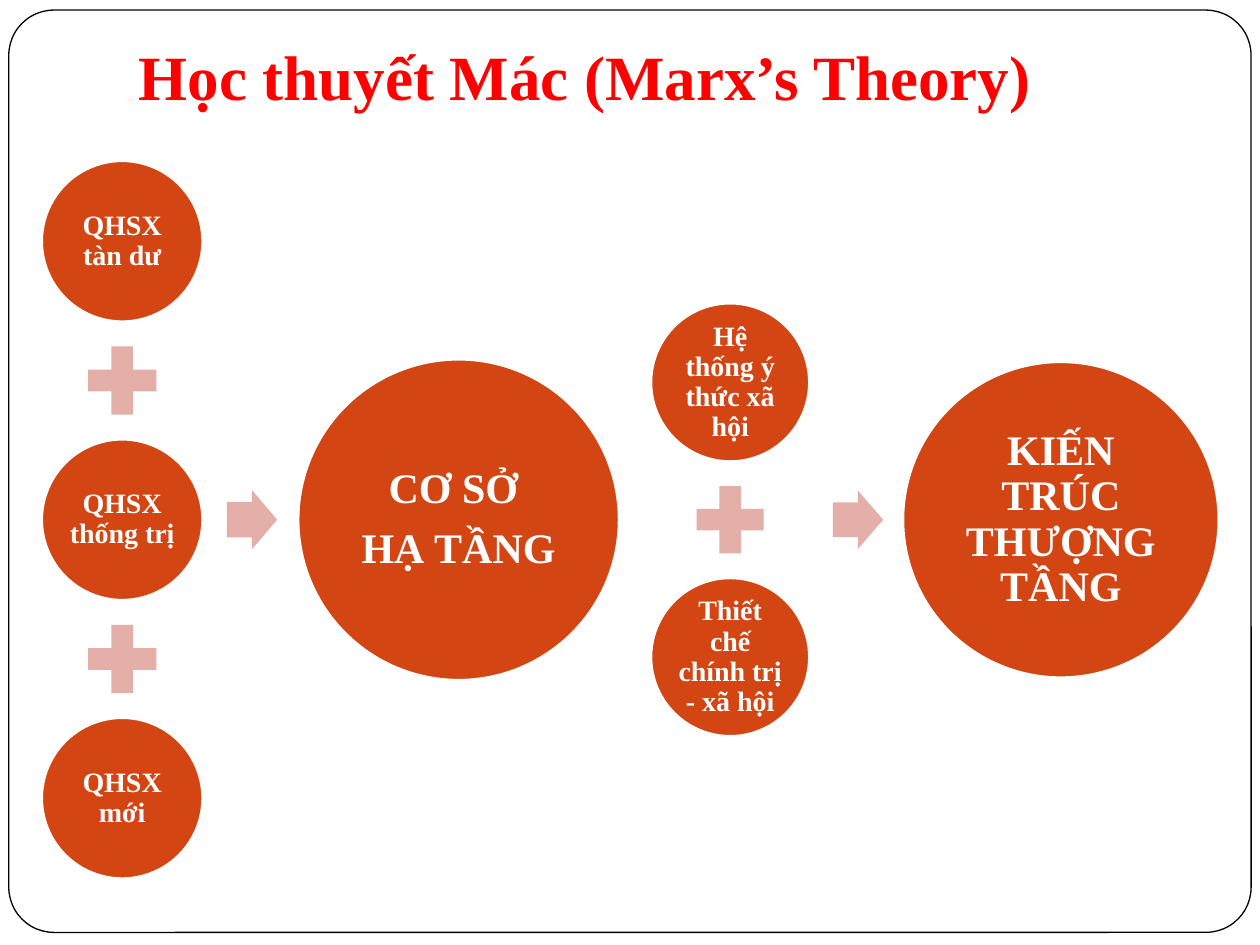
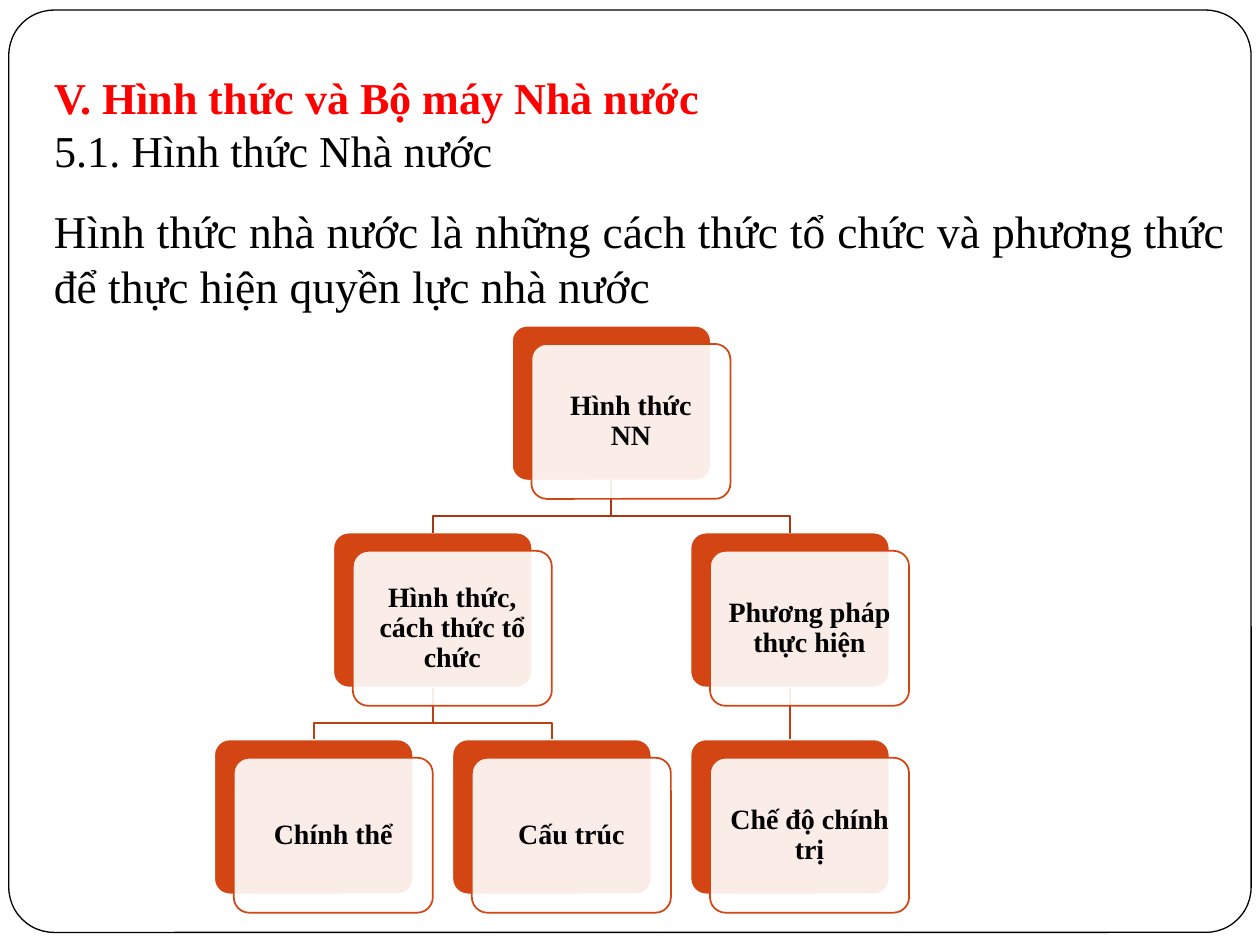
from dataclasses import dataclass, field

from lxml.etree import SubElement
from pptx import Presentation
from pptx.dml.color import RGBColor
from pptx.enum.shapes import MSO_CONNECTOR, MSO_SHAPE as Shape
from pptx.enum.text import MSO_ANCHOR as Anchor, MSO_AUTO_SIZE, PP_ALIGN as Align
from pptx.oxml.ns import qn
from pptx.util import Inches, Pt

COLUMNS, ROWS = 100, 75  # grid cells across and down the slide


@dataclass(frozen=True)
class Theme:
    font: str = "Times New Roman"
    white: str = "FFFFFF"
    black: str = "000000"
    heading: str = "FF0000"
    accent: str = "D34614"
    sign: str = "E5AFA9"
    links: tuple = ("A7370F", "BD3F12")  # by tree level
    display: float = 36
    title: float = 25.2
    body: float = 26
    result: float = 24
    label: float = 16


@dataclass
class Node:
    label: str
    children: list = field(default_factory=list)
    level: int = 0
    left: float = 0
    top: float = 0
    back: object = None


class Deck:
    """Holds the theme and the slide being drawn; lengths are grid cells."""

    def __init__(self, theme):
        self.theme = theme
        self.prs = Presentation()
        self.prs.slide_width, self.prs.slide_height = Inches(10), Inches(7.5)
        self.slide = None

    def x(self, columns):
        return round(self.prs.slide_width * columns / COLUMNS)

    def y(self, rows):
        return round(self.prs.slide_height * rows / ROWS)

    def box(self, left, top, width, height):
        return self.x(left), self.y(top), self.x(width), self.y(height)

    def new_slide(self):
        self.slide = self.prs.slides.add_slide(self.prs.slide_layouts[5])
        self.shape(Shape.ROUNDED_RECTANGLE, (0.7, 0.8, 98.6, 73.2), [0.049],
                   line=self.theme.black, weight=0.75)

    # Text
    def set_text(self, frame, paragraphs, anchor, insets, align=Align.LEFT,
                 spacing=None, gap=0):
        """Each paragraph is a list of runs: (text, size, colour, bold)."""
        frame.word_wrap = True
        frame.auto_size = MSO_AUTO_SIZE.NONE
        frame.vertical_anchor = anchor
        (frame.margin_left, frame.margin_top,
         frame.margin_right, frame.margin_bottom) = map(Inches, insets)
        for index, runs in enumerate(paragraphs):
            paragraph = frame.add_paragraph() if index else frame.paragraphs[0]
            paragraph.alignment = align
            if spacing:
                paragraph.line_spacing = spacing
            if index:
                paragraph.space_before = Pt(gap)
            for text, size, color, bold in runs:
                for number, part in enumerate(text.split("\n")):
                    if number:
                        paragraph.add_line_break()
                    if part:
                        run = paragraph.add_run()
                        run.text = part
                        run.font.name = self.theme.font
                        run.font.size = Pt(size)
                        run.font.bold = bold
                        run.font.color.rgb = RGBColor.from_string(color)

    def title(self, place, runs, anchor=Anchor.BOTTOM, inset_top=0.05):
        title = self.slide.shapes.title
        title.left, title.top, title.width, title.height = self.box(*place)
        self.set_text(title.text_frame, [runs], anchor, (0.1, inset_top, 0.1, 0.1))

    def body(self, place, text):
        body = self.slide.shapes.add_textbox(*self.box(*place))
        self.set_text(body.text_frame,
                      [[(text, self.theme.body, self.theme.black, False)]],
                      Anchor.BOTTOM, (0.1, 0.05, 0.1, 0.1), Align.JUSTIFY)

    def label(self, shape, lines, size, color, inset):
        self.set_text(shape.text_frame, [[(line, size, color, True)] for line in lines],
                      Anchor.MIDDLE, [inset] * 4, Align.CENTER, 0.9, 8.4)

    # Shapes
    def shape(self, kind, place, adjustments=(), fill=None, line=None,
              weight=1, alpha=None):
        shape = self.slide.shapes.add_shape(kind, *self.box(*place))
        for index, value in enumerate(adjustments):
            shape.adjustments[index] = value
        self.paint(shape, fill, line, weight)
        if alpha is not None:
            color = shape._element.spPr.find(qn("a:solidFill")).find(qn("a:srgbClr"))
            SubElement(color, qn("a:alpha")).set("val", str(alpha * 1000))
        return shape

    def paint(self, shape, fill, line, weight=1):
        shape.shadow.inherit = False
        for paint, color in ((shape.fill, fill), (shape.line.fill, line)):
            if color:
                paint.solid()
                paint.fore_color.rgb = RGBColor.from_string(color)
            else:
                paint.background()
        shape.line.width = Pt(weight)

    def centered(self, kind, x, y, width, height, *args, **style):
        return self.shape(kind, (x - width / 2, y - height / 2, width, height),
                          *args, **style)

    def circle(self, x, y, diameter, lines, size, inset=0.02):
        circle = self.centered(Shape.OVAL, x, y, diameter, diameter,
                               fill=self.theme.accent, line=self.theme.white)
        self.label(circle, lines, size, self.theme.white, inset)

    # Sum of circles leading to a larger circle
    def equation(self, x, y, diameter, pitch, terms, arrow_x, result_x, result):
        first = y - pitch * (len(terms) - 1) / 2
        plus = 0.58 * diameter
        for index, term in enumerate(terms):
            center = first + index * pitch
            if index:
                self.centered(Shape.MATH_PLUS, x, center - pitch / 2, plus, plus,
                              [0.235], fill=self.theme.sign)
            self.circle(x, center, diameter, [term], self.theme.label)
        self.centered(Shape.RIGHT_ARROW, arrow_x, y, 4, 0.37 * diameter,
                      [0.6, 0.5], fill=self.theme.sign)
        self.circle(result_x, y, 2 * diameter, result, self.theme.result, 0.03)

    # Tree of layered cards
    def tree(self, root, left, top, size, pitch, offset):
        width, height = size
        nodes, next_left = [], left

        def arrange(node, level):
            nonlocal next_left
            node.level, node.top = level, top + level * pitch[1]
            for child in node.children:
                arrange(child, level + 1)
            if node.children:
                node.left = (node.children[0].left + node.children[-1].left) / 2
            else:
                node.left = next_left
                next_left += pitch[0]
            nodes.append(node)

        arrange(root, 0)
        for node in nodes:
            node.back = self.shape(Shape.ROUNDED_RECTANGLE,
                                   (node.left, node.top, width, height), [0.1],
                                   fill=self.theme.accent, line=self.theme.white)
        for node in nodes:
            for child in node.children:
                self.link(node, child, size)
        for node in nodes:
            front = self.shape(Shape.ROUNDED_RECTANGLE,
                               (node.left + offset[0], node.top + offset[1],
                                width, height), [0.1], fill=self.theme.white,
                               line=self.theme.accent, alpha=90)
            self.label(front, [node.label], self.theme.label, self.theme.black, 0.07)

    def link(self, parent, child, size):
        start_x, end_x = (node.left + size[0] / 2 for node in (parent, child))
        start_y, end_y = parent.top + size[1], child.top
        color = self.theme.links[parent.level]
        if start_x == end_x:
            line = self.slide.shapes.add_connector(
                MSO_CONNECTOR.STRAIGHT, self.x(start_x), self.y(start_y),
                self.x(end_x), self.y(end_y))
            line.begin_connect(parent.back, 2)
            line.end_connect(child.back, 0)
            line.line.color.rgb = RGBColor.from_string(color)
            line.line.width = Pt(1)
            SubElement(line._element.spPr, qn("a:effectLst"))
            return
        bend_y = start_y + 2.8
        outline = self.slide.shapes.build_freeform(self.x(start_x), self.y(start_y))
        outline.add_line_segments(
            [(self.x(x), self.y(y)) for x, y in
             ((start_x, bend_y), (end_x, bend_y), (end_x, end_y))], close=False)
        self.paint(outline.convert_to_shape(), None, color)


def marx_slide(deck):
    theme = deck.theme
    deck.new_slide()
    deck.title((10, 3, 85, 12.5),
               [("Học thuyết Mác (Marx’s Theory)", theme.display, theme.heading, True)],
               Anchor.TOP, 0)
    axis = 41.25
    # Base
    deck.equation(9.7, axis, 12.7, 22.1,
                  ["QHSX tàn dư", "QHSX thống trị", "QHSX mới"],
                  20, 36.4, ["CƠ SỞ ", "HẠ TẦNG"])
    # Superstructure
    deck.equation(57.95, axis, 12.5, 21.8,
                  ["Hệ thống ý thức xã hội", "Thiết chế chính trị - xã hội"],
                  68.1, 84.2, ["KIẾN TRÚC THƯỢNG TẦNG"])


def state_slide(deck):
    theme = deck.theme
    deck.new_slide()
    deck.title((3.3, 5, 95, 10), [
        ("V. Hình thức và Bộ máy Nhà nước\n", theme.title, theme.heading, True),
        ("5.1. Hình thức Nhà nước", theme.title, theme.black, False)])
    deck.body((3.3, 15, 95, 10.8),
              "Hình thức nhà nước là những cách thức tổ chức và phương thức "
              "để thực hiện quyền lực nhà nước")
    # Forms of the state
    forms = Node("Hình thức\nNN", [
        Node("Hình thức, cách thức tổ chức", [Node("Chính thể"), Node("Cấu trúc")]),
        Node("Phương pháp thực hiện", [Node("Chế độ chính trị")])])
    deck.tree(forms, 17, 25.85, size=(15.8, 12.3), pitch=(18.9, 16.42),
              offset=(1.55, 1.45))


def main():
    deck = Deck(Theme())
    marx_slide(deck)
    state_slide(deck)
    deck.prs.save("out.pptx")


if __name__ == "__main__":
    main()
